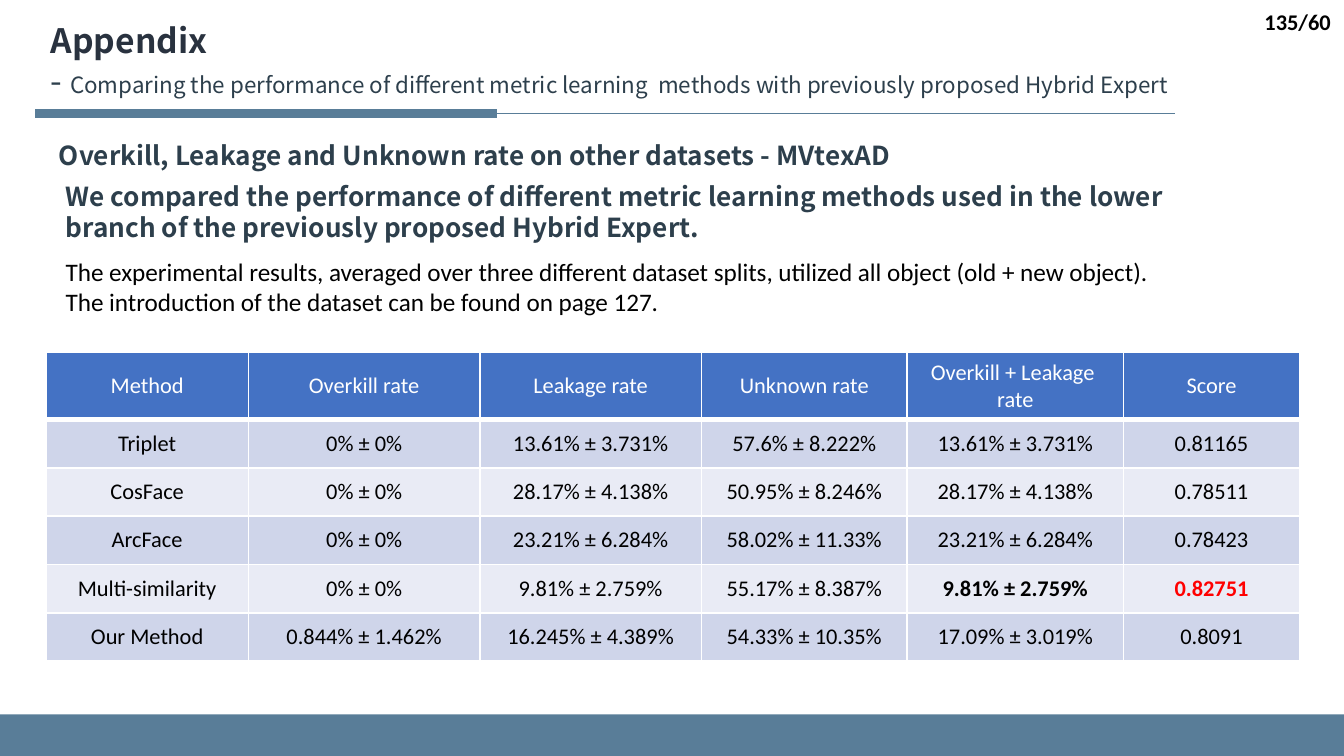
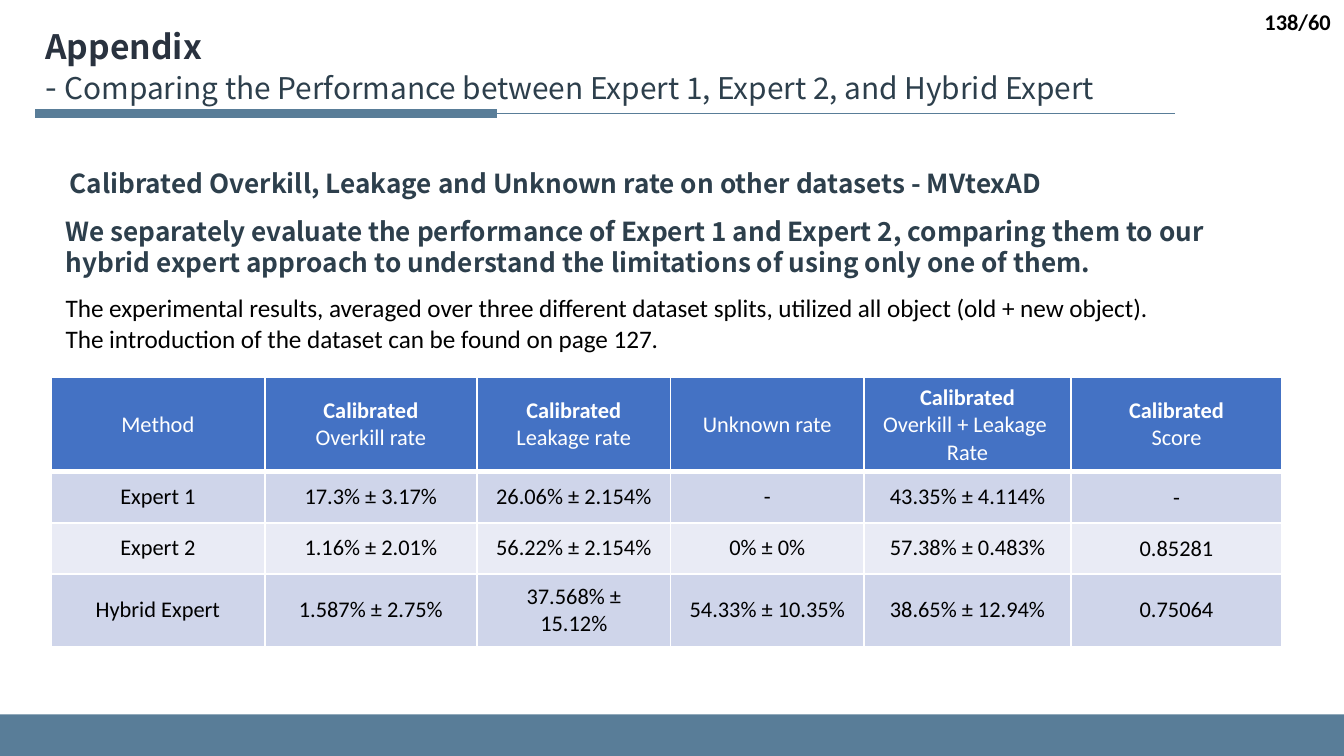
from lxml import etree
from pptx import Presentation
from pptx.dml.color import RGBColor
from pptx.enum import shapes, text
from pptx.oxml import ns
from pptx.util import Inches, Pt

COLORS = {
    "steel": "597D98", "title": "29323F", "heading": "2D3F4C",
    "header": "4472C4", "odd_row": "CFD5EA", "even_row": "E9EBF5",
    "white": "FFFFFF", "black": "000000", "best": "FF0000",
}
HEADING_FONT, BODY_FONT = "Noto Sans CJK SC", "Calibri"
LINE_FACTOR = 1.2
ROW_HEIGHT = 0.36


def font_format(size, color, name=BODY_FONT, bold=False):
    return {"size": Pt(size), "name": name, "bold": bold, "color": color}


TITLE = font_format(18, "title", HEADING_FONT, True)
DASH = font_format(18, "heading", HEADING_FONT)
HEADING = font_format(14, "heading", HEADING_FONT, True)
NOTE = font_format(13.5, "black")
PAGE = font_format(12, "black", bold=True)
CELL = font_format(12, "black")
CELL_HEADER = font_format(12, "white")
BOLD_CELL = {**CELL, "bold": True}
BEST_CELL = {**BOLD_CELL, "color": "best"}

DATASET_NOTE = [
    "The experimental results, averaged over three different dataset splits, "
    "utilized all object (old + new object).",
    "The introduction of the dataset can be found on page 127.",
]


def rgb(color):
    return RGBColor.from_string(COLORS[color])


def add_run(paragraph, words, format_values):
    run = paragraph.add_run()
    run.text = words
    for attribute, value in format_values.items():
        if attribute == "color":
            run.font.color.rgb = rgb(value)
        else:
            setattr(run.font, attribute, value)


def fill_frame(frame, lines, **paragraph_values):
    """Write one paragraph for each (words, format) pair."""
    for index, (words, format_values) in enumerate(lines):
        paragraph = frame.paragraphs[0] if index == 0 else frame.add_paragraph()
        for attribute, value in paragraph_values.items():
            setattr(paragraph, attribute, value)
        add_run(paragraph, words, format_values)


def add_text_box(slide, box, lines=(), anchor=text.MSO_ANCHOR.TOP, **paragraph_values):
    frame = slide.shapes.add_textbox(*map(Inches, box)).text_frame
    frame.word_wrap = True
    frame.vertical_anchor = anchor
    fill_frame(frame, lines, **paragraph_values)
    return frame


def add_bar(slide, box):
    bar = slide.shapes.add_shape(shapes.MSO_SHAPE.RECTANGLE, *map(Inches, box))
    bar.shadow.inherit = False
    bar.fill.solid()
    bar.fill.fore_color.rgb = rgb("steel")
    bar.line.fill.background()
    return bar


# Footer band, title rule and page number
def add_frame(slide, box, page):
    left, top, width, height = box
    band = 0.31
    add_bar(slide, (left, top + height - band, width, band))

    bar = add_bar(slide, (left + 0.27, top + 0.82, 3.42, 0.05))
    bar.line.color.rgb = rgb("steel")
    bar.line.width = Pt(1)
    etree.SubElement(bar.line._get_or_add_ln(), ns.qn("a:miter"), lim="800000")
    middle = bar.top + bar.height // 2
    rule = slide.shapes.add_connector(
        shapes.MSO_CONNECTOR.STRAIGHT, Inches(left + 8.74), middle, bar.left, middle)
    rule.end_connect(bar, 1)
    rule.line.color.rgb = rgb("steel")
    rule.line.width = Pt(0.5)
    etree.SubElement(rule._element.spPr, ns.qn("a:effectLst"))

    right = left + width
    for words, number_box in (
        ("/60", (right - 0.46, top + 0.01, 0.46, 0.3)),
        (page, (right - 2.25, top + 0.01, 2.01, 0.3)),
    ):
        add_text_box(slide, number_box, [(words, PAGE)], text.MSO_ANCHOR.MIDDLE,
                     alignment=text.PP_ALIGN.RIGHT)


# Title with its subtitle on the next line
def add_title(slide, box, subtitle, subtitle_size):
    paragraph = add_text_box(slide, box).paragraphs[0]
    paragraph.line_spacing = Pt(18 * LINE_FACTOR)
    add_run(paragraph, "Appendix", TITLE)
    paragraph.add_line_break()
    add_run(paragraph, "- ", DASH)
    add_run(paragraph, subtitle, {**DASH, "size": Pt(subtitle_size)})


def add_heading(slide, box, words):
    add_text_box(slide, box, [(words, HEADING)], line_spacing=Pt(14 * LINE_FACTOR))


def set_borders(cell, widths):
    properties = cell._tc.get_or_add_tcPr()
    for index, (tag, width) in enumerate(widths.items()):
        line = etree.Element(ns.qn(tag), w=str(Pt(width)))
        fill = etree.SubElement(line, ns.qn("a:solidFill"))
        etree.SubElement(fill, ns.qn("a:srgbClr"), val=COLORS["white"])
        properties.insert(index, line)


def set_margins(cell, horizontal, vertical):
    cell.margin_left = cell.margin_right = Inches(horizontal)
    cell.margin_top = cell.margin_bottom = Inches(vertical)


# Result table: header row, then banded rows
def add_results(slide, box, columns, rows, emphasis, score_margins):
    frame = slide.shapes.add_table(len(rows), len(columns), *map(Inches, box))
    table = frame.table
    for column, width in zip(table.columns, columns):
        column.width = Inches(width)
    for row in table.rows:
        row.height = Inches(ROW_HEIGHT)
    frame.height = Inches(box[3])

    for row_index, values in enumerate(rows):
        is_header = row_index == 0
        band = "header" if is_header else "odd_row" if row_index % 2 else "even_row"
        for column_index, value in enumerate(values):
            cell = table.cell(row_index, column_index)
            cell.fill.solid()
            cell.fill.fore_color.rgb = rgb(band)
            cell.vertical_anchor = text.MSO_ANCHOR.MIDDLE
            if is_header:
                set_borders(cell, {"a:lnL": 1, "a:lnR": 1, "a:lnT": 1, "a:lnB": 3})
            elif column_index == len(columns) - 1:
                set_margins(cell, *score_margins)
            elif column_index:
                set_margins(cell, 0.13, 0.07)
            base = CELL_HEADER if is_header else CELL
            style = emphasis.get((row_index, column_index), base)
            lines = [(words, {**style, "bold": style["bold"] or words == "Calibrated"})
                     for words in value.split("\n")]
            fill_frame(cell.text_frame, lines, alignment=text.PP_ALIGN.CENTER)


def add_result_slide(presentation, box, content):
    slide = presentation.slides.add_slide(presentation.slide_layouts[6])
    add_frame(slide, box, content["page"])
    add_title(slide, *content["title"])
    for heading in content["headings"]:
        add_heading(slide, *heading)
    add_text_box(slide, content["note_box"], [(words, NOTE) for words in DATASET_NOTE])
    add_results(slide, **content["results"])


METRIC_SLIDE = {
    "page": "135",
    "title": (
        (0.28, 0.1, 9.67, 0.71),
        "Comparing the performance of different metric learning  methods "
        "with previously proposed Hybrid Expert", 12),
    "headings": [
        ((0.34, 0.99, 7.42, 0.34),
         "Overkill, Leakage and Unknown rate on other datasets - MVtexAD"),
        ((0.39, 1.29, 9, 0.57),
         "We compared the performance of different metric learning methods used in "
         "the lower branch of the previously proposed Hybrid Expert."),
    ],
    "note_box": (0.39, 1.86, 9.05, 0.56),
    "results": {
        "box": (0.34, 2.62, 9.32, 2.29),
        "columns": [1.51, 1.72, 1.65, 1.53, 1.61, 1.31],
        "rows": [
            ["Method", "Overkill rate", "Leakage rate", "Unknown rate",
             "Overkill + Leakage \nrate", "Score"],
            ["Triplet", "0% ± 0%", "13.61% ± 3.731%", "57.6% ± 8.222%",
             "13.61% ± 3.731%", "0.81165"],
            ["CosFace", "0% ± 0%", "28.17% ± 4.138%", "50.95% ± 8.246%",
             "28.17% ± 4.138%", "0.78511"],
            ["ArcFace", "0% ± 0%", "23.21% ± 6.284%", "58.02% ± 11.33%",
             "23.21% ± 6.284%", "0.78423"],
            ["Multi-similarity", "0% ± 0%", "9.81% ± 2.759%", "55.17% ± 8.387%",
             "9.81% ± 2.759%", "0.82751"],
            ["Our Method", "0.844% ± 1.462%", "16.245% ± 4.389%", "54.33% ± 10.35%",
             "17.09% ± 3.019%", "0.8091"],
        ],
        "emphasis": {(4, 4): BOLD_CELL, (4, 5): BEST_CELL},
        "score_margins": (0.13, 0.07),
    },
}

EXPERT_SLIDE = {
    "page": "138",
    "title": (
        (0.24, 0.14, 9.66, 0.71),
        "Comparing the Performance between Expert 1, Expert 2, and Hybrid Expert", 16),
    "headings": [
        ((0.42, 1.2, 8.54, 0.34),
         "Calibrated Overkill, Leakage and Unknown rate on other datasets - MVtexAD"),
        ((0.39, 1.55, 8.88, 0.57),
         "We separately evaluate the performance of Expert 1 and Expert 2, comparing "
         "them to our hybrid expert approach to understand the limitations of using "
         "only one of them."),
    ],
    "note_box": (0.39, 2.13, 9.05, 0.56),
    "results": {
        "box": (0.38, 2.81, 9.17, 1.99),
        "columns": [1.59, 1.58, 1.44, 1.44, 1.54, 1.57],
        "rows": [
            ["Method", "Calibrated\nOverkill rate", "Calibrated\nLeakage rate",
             "Unknown rate", "Calibrated\nOverkill + Leakage \nRate",
             "Calibrated\nScore"],
            ["Expert 1", "17.3% ± 3.17%", "26.06% ± 2.154%", "-",
             "43.35% ± 4.114%", "-"],
            ["Expert 2", "1.16% ± 2.01%", "56.22% ± 2.154%", "0% ± 0%",
             "57.38% ± 0.483%", "0.85281"],
            ["Hybrid Expert", "1.587% ± 2.75%", "37.568% ± 15.12%",
             "54.33% ± 10.35%", "38.65% ± 12.94%", "0.75064"],
        ],
        "emphasis": {},
        "score_margins": (0.18, 0.09),
    },
}


def main():
    presentation = Presentation()
    width = 10
    height = width * 9 / 16
    presentation.slide_width = Inches(width)
    presentation.slide_height = Inches(height)
    for content in (METRIC_SLIDE, EXPERT_SLIDE):
        add_result_slide(presentation, (0, 0, width, height), content)
    presentation.save("out.pptx")


if __name__ == "__main__":
    main()
